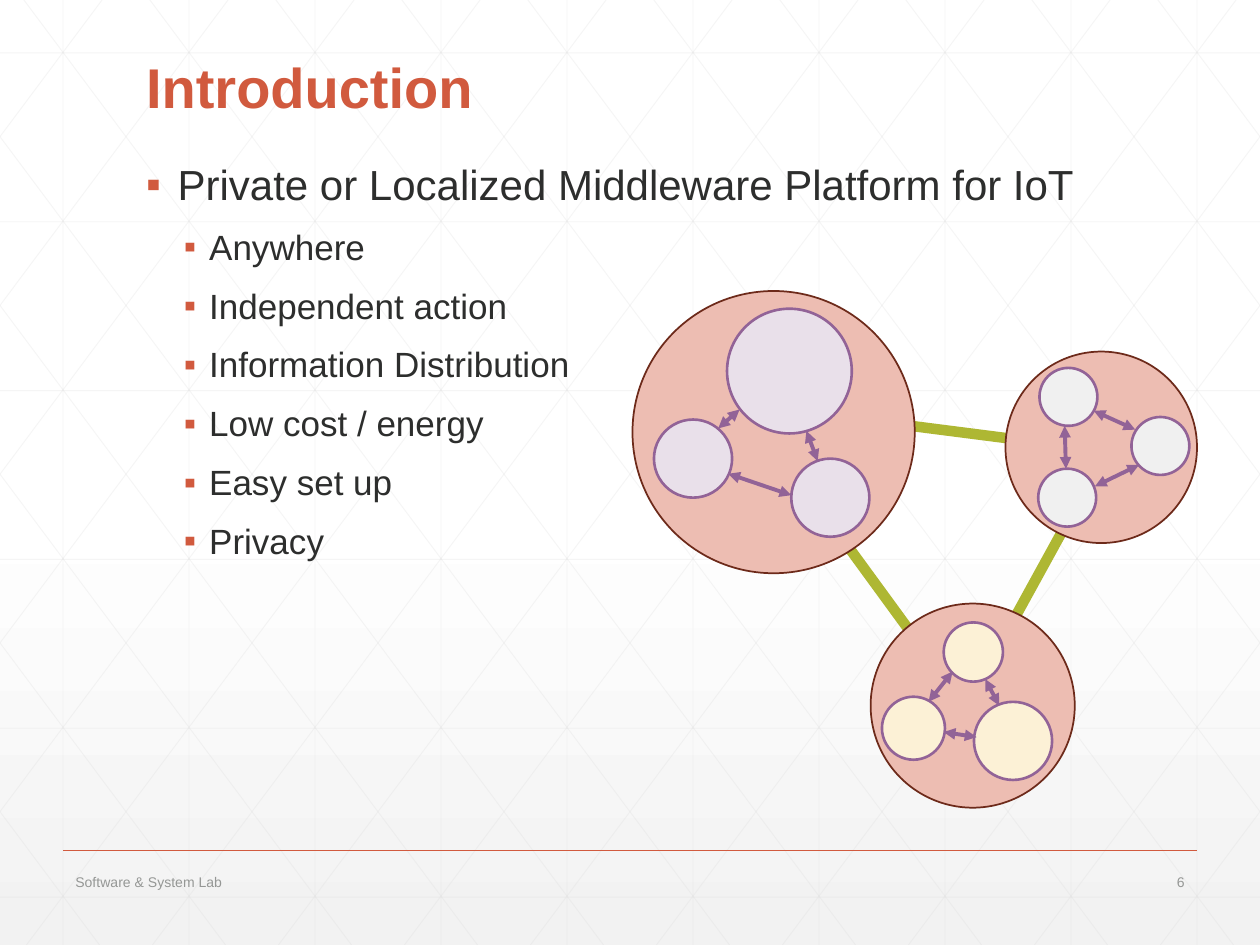
"""Build the Introduction slide: a bulleted list beside three linked device clusters."""
from dataclasses import dataclass

from lxml import etree
from pptx import Presentation
from pptx.dml.color import RGBColor
from pptx.enum.shapes import MSO_CONNECTOR, MSO_SHAPE
from pptx.enum.text import MSO_ANCHOR, MSO_AUTO_SIZE, PP_ALIGN
from pptx.oxml.ns import qn
from pptx.util import Inches, Pt

STRAIGHT = MSO_CONNECTOR.STRAIGHT
OVAL = MSO_SHAPE.OVAL
BOTTOM, MIDDLE, TOP = MSO_ANCHOR.BOTTOM, MSO_ANCHOR.MIDDLE, MSO_ANCHOR.TOP
LEFT, RIGHT = PP_ALIGN.LEFT, PP_ALIGN.RIGHT


@dataclass(frozen=True)
class Theme:
    font: str = "Arial"
    accent: str = "D15A3E"
    text: str = "2D2E2D"
    muted: str = "959795"
    grid: str = "D9D9D9"
    paper: str = "FFFFFF"
    paper_end: str = "F2F2F2"
    link: str = "AEB733"
    cluster: str = "EDBDB2"
    cluster_edge: str = "6D2A1A"
    node_edge: str = "926397"
    lilac: str = "E9E0EA"
    gray: str = "F0F0F0"
    cream: str = "FCF1D6"
    title_size: int = 32
    body_size: int = 24
    item_size: int = 20
    footer_size: int = 8


theme = Theme()


def write_text(paragraph, text, size, color, bold=False, align=LEFT,
               spacing=None, before=0, level=0, indent=None):
    paragraph.level = level
    if indent:
        properties = paragraph._p.get_or_add_pPr()
        properties.set("marL", str(Inches(indent[0])))
        properties.set("indent", str(Inches(indent[1])))
        bullet_color = etree.SubElement(properties, qn("a:buClr"))
        etree.SubElement(bullet_color, qn("a:srgbClr"), val=theme.accent)
        etree.SubElement(properties, qn("a:buChar"), char="▪")
    paragraph.alignment = align
    paragraph.line_spacing = spacing
    paragraph.space_before = Pt(before)
    span = paragraph.add_run()
    span.text = text
    span.font.name = theme.font
    span.font.size = Pt(size)
    span.font.bold = bold
    span.font.color.rgb = RGBColor.from_string(color)


def draw_line(shapes, start, end, color, width, opacity=None, arrows=False):
    x1, y1, x2, y2 = (Inches(value) for value in (*start, *end))
    line = shapes.add_connector(STRAIGHT, x1, y1, x2, y2)
    line.line.color.rgb = RGBColor.from_string(color)
    line.line.width = Pt(width)
    outline = line.line._get_or_add_ln()
    if opacity:
        etree.SubElement(outline.find(".//" + qn("a:srgbClr")),
                         qn("a:alpha"), val=str(opacity * 1000))
    if arrows:
        for tag in ("a:headEnd", "a:tailEnd"):
            etree.SubElement(outline, qn(tag), type="triangle")
    etree.SubElement(line._element.spPr, qn("a:effectLst"))


WIDTH, HEIGHT = 10, 7.5
deck = Presentation()
deck.slide_width, deck.slide_height = Inches(WIDTH), Inches(HEIGHT)
page = deck.slides.add_slide(deck.slide_layouts[1])

backdrop = page.background.fill
backdrop.gradient()
backdrop.gradient_angle = 270
for stop, position, color in zip(backdrop.gradient_stops, (0.53, 1),
                                 (theme.paper, theme.paper_end)):
    stop.position = position
    stop.color.rgb = RGBColor.from_string(color)

grid_lines = [((0.5 + i, 0), (0.5 + i, HEIGHT)) for i in range(10)]
grid_lines += [((0, 0.42 + 1.34 * i), (WIDTH, 0.42 + 1.34 * i)) for i in range(6)]
RUN = 5.6 / HEIGHT
for i in range(-5, 10):
    origin = 0.19 + i
    top = max(0, -origin / RUN)
    bottom = min(HEIGHT, (WIDTH - origin) / RUN)
    x1, x2 = origin + top * RUN, origin + bottom * RUN
    grid_lines += [((x1, top), (x2, bottom)),
                   ((WIDTH - x1, top), (WIDTH - x2, bottom))]

grid = page.shapes.add_group_shape()
for start, end in grid_lines:
    draw_line(grid.shapes, start, end, theme.grid, 0.5, opacity=25)
draw_line(page.shapes, (0.5, 6.75), (9.5, 6.75), theme.accent, 1)

title, body = page.placeholders
for box, top, height, anchor in ((title, 0, 1.01, BOTTOM), (body, 1.25, 5.3, TOP)):
    box.left, box.top = Inches(1.06), Inches(top)
    box.width, box.height = Inches(7.88), Inches(height)
    box.text_frame.auto_size = MSO_AUTO_SIZE.NONE
    box.text_frame.vertical_anchor = anchor
    page.shapes._spTree.append(box._element)

write_text(title.text_frame.paragraphs[0], "Introduction", theme.title_size,
           theme.accent, bold=True, spacing=0.9)
write_text(body.text_frame.paragraphs[0],
           "Private or Localized Middleware Platform for IoT",
           theme.body_size, theme.text, spacing=0.9, indent=(0.25, -0.25))
for item in ("Anywhere", "Independent action", "Information Distribution",
             "Low cost / energy", "Easy set up", "Privacy"):
    write_text(body.text_frame.add_paragraph(), item, theme.item_size, theme.text,
               spacing=0.9, before=12, level=1, indent=(0.5, -0.2))

for text, left, width, align in (("Software & System Lab", 0.5, 5.03, LEFT),
                                 ("6", 8.75, 0.75, RIGHT)):
    box = page.shapes.add_textbox(Inches(left), Inches(6.88), Inches(width), Inches(0.24))
    box.text_frame.word_wrap = True
    box.text_frame.vertical_anchor = MIDDLE
    write_text(box.text_frame.paragraphs[0], text, theme.footer_size,
               theme.muted, align=align)

for start, end in (((7.2, 4.98), (6.74, 4.35)),
                   ((8.01, 3.48), (7.23, 3.38)),
                   ((8.05, 4.91), (8.44, 4.2))):
    draw_line(page.shapes, start, end, theme.link, 6)

clusters = [
    (theme.lilac, (5.02, 2.31, 2.24),
     [(5.19, 3.33, 0.62), (5.77, 2.45, 0.99), (6.28, 3.64, 0.62)],
     [((6.4, 3.42), (6.49, 3.66)), ((5.87, 3.25), (5.7, 3.4)),
      ((6.28, 3.93), (5.78, 3.76))]),
    (theme.gray, (7.98, 2.79, 1.52),
     [(8.24, 3.72, 0.46), (8.25, 2.92, 0.46), (8.98, 3.31, 0.46)],
     [((8.68, 3.26), (9.01, 3.41)), ((8.45, 3.38), (8.46, 3.72)),
      ((9.04, 3.69), (8.69, 3.86))]),
    (theme.cream, (6.91, 4.79, 1.62),
     [(7, 5.53, 0.5), (7.49, 4.94, 0.47), (7.73, 5.57, 0.62)],
     [((7.82, 5.39), (7.93, 5.6)), ((7.56, 5.33), (7.37, 5.57)),
      ((7.75, 5.85), (7.49, 5.81))]),
]
for node_fill, hub, nodes, arrows in clusters:
    cluster = page.shapes.add_group_shape()
    circles = [(hub, theme.cluster, theme.cluster_edge, 1)]
    circles += [(node, node_fill, theme.node_edge, 1.5) for node in nodes]
    for (left, top, size), fill, edge, weight in circles:
        circle = cluster.shapes.add_shape(OVAL, Inches(left), Inches(top),
                                          Inches(size), Inches(size))
        circle.shadow.inherit = False
        circle.fill.solid()
        circle.fill.fore_color.rgb = RGBColor.from_string(fill)
        circle.line.color.rgb = RGBColor.from_string(edge)
        circle.line.width = Pt(weight)
    for start, end in arrows:
        draw_line(cluster.shapes, start, end, theme.node_edge, 2.25, arrows=True)

deck.save("out.pptx")
